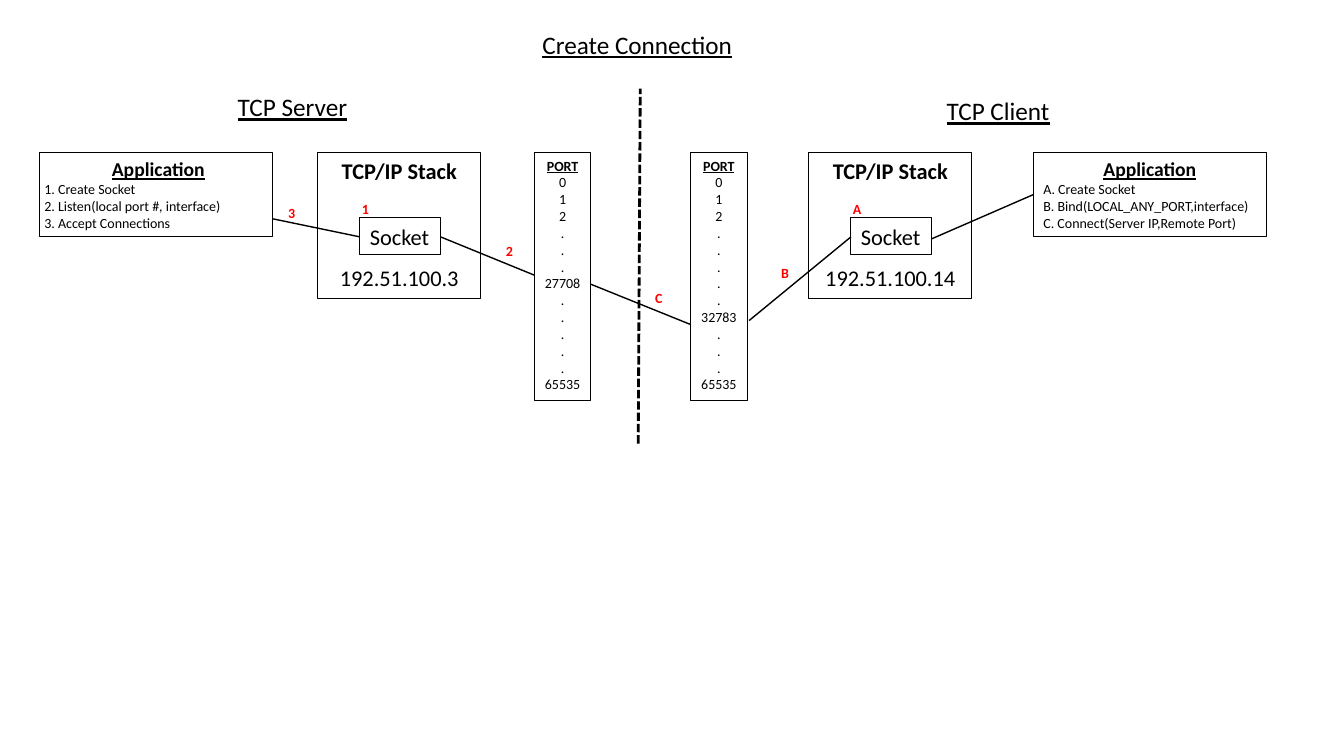
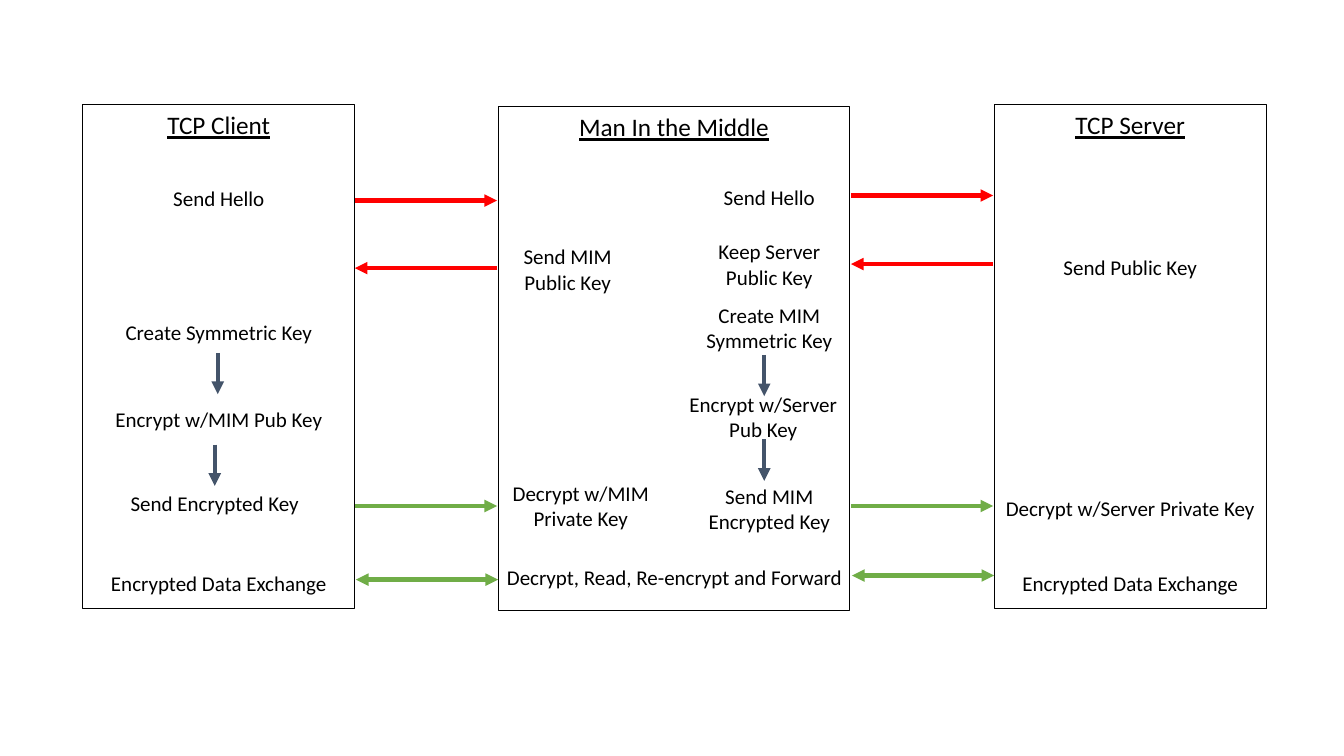
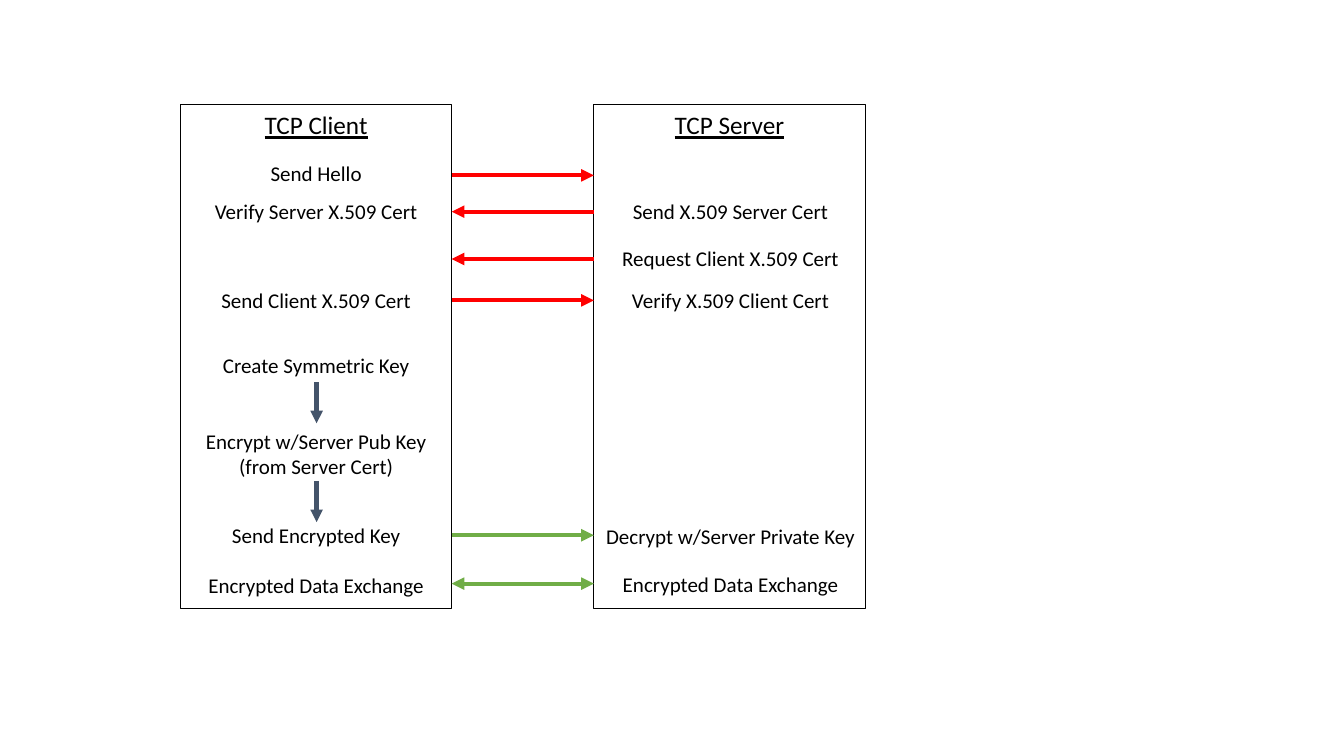
from pptx import Presentation
from pptx.dml.color import RGBColor
from pptx.enum.dml import MSO_LINE
from pptx.enum.shapes import MSO_CONNECTOR, MSO_SHAPE
from pptx.enum.text import MSO_ANCHOR, MSO_AUTO_SIZE, PP_ALIGN
from pptx.oxml.ns import qn
from pptx.util import Inches, Pt
from lxml import etree

BLACK = RGBColor(0x00, 0x00, 0x00)
RED = RGBColor(0xFF, 0x00, 0x00)
GREEN = RGBColor(0x70, 0xAD, 0x47)
SLATE = RGBColor(0x44, 0x54, 0x6A)
FONT = "Calibri"
LEFT, CENTER = PP_ALIGN.LEFT, PP_ALIGN.CENTER
TOP = MSO_ANCHOR.TOP
RECTANGLE = MSO_SHAPE.RECTANGLE
STRAIGHT = MSO_CONNECTOR.STRAIGHT
SHORT_DASH = MSO_LINE.SQUARE_DOT
NO_FIT = MSO_AUTO_SIZE.NONE
TITLE_ONLY, BLANK = 5, 6

CELL = 0.1
LANE_TOP, LANE_HEIGHT = 10.4, 50
HOST_TOP, SOCKET_TOP = 15.1, 21.6
HEADING_SIZE, STEP_SIZE, NOTE_SIZE = 18, 15, 10


def cells(count):
    """Turn a number of grid cells into a length."""
    return Inches(count * CELL)


def style(para, size, color=BLACK, bold=False, underline=False, align=LEFT):
    """Format a paragraph and its runs."""
    para.alignment = align
    for span in para.runs:
        font = span.font
        font.name, font.size = FONT, Pt(size)
        font.bold, font.underline = bold, underline
        font.color.rgb = color


def fill_frame(frame, text, size, wrap=True, **look):
    """Write lines of text in one style into a frame."""
    frame.text = text
    frame.word_wrap = wrap
    frame.vertical_anchor = TOP
    for para in frame.paragraphs:
        style(para, size, **look)


def add_box(page, left, top, width, height, text, size, wrap=True, **look):
    """Draw an outlined rectangle with text."""
    box = page.shapes.add_shape(RECTANGLE, *map(cells, (left, top, width, height)))
    box.shadow.inherit = False
    box.fill.background()
    box.line.color.rgb = BLACK
    box.line.width = Pt(0.75)
    fill_frame(box.text_frame, text, size, wrap, **look)
    return box


def add_label(page, left, top, width, height, text, size, **look):
    """Place free-standing text."""
    label = page.shapes.add_textbox(*map(cells, (left, top, width, height)))
    fill_frame(label.text_frame, text, size, **look)


def add_line(page, start, end, color=BLACK, width=1, ends=(), dash=None):
    """Draw a line, with arrowheads at the named ends."""
    line = page.shapes.add_connector(STRAIGHT, *map(cells, (*start, *end)))
    line.line.color.rgb = color
    line.line.width = Pt(width)
    if dash is not None:
        line.line.dash_style = dash
    properties = line.element.spPr
    outline = properties.find(qn("a:ln"))
    for name in ends:
        etree.SubElement(outline, qn(f"a:{name}"), type="triangle")
    etree.SubElement(properties, qn("a:effectLst"))


def add_arrow(page, start, end, color, both=False):
    """Draw a thick arrow from start to end, or one that points both ways."""
    ends = ("headEnd", "tailEnd") if both else ("tailEnd",)
    add_line(page, start, end, color, 3, ends)


def add_title(page, text, left, top, width, height):
    """Move and format the title placeholder."""
    title = page.shapes.title
    title.left, title.top, title.width, title.height = map(cells, (left, top, width, height))
    fill_frame(title.text_frame, text, HEADING_SIZE, wrap=False, underline=True)
    title.text_frame.auto_size = NO_FIT


def add_application(page, left, calls, numbered=False):
    """Draw an application box with its list of calls."""
    text = "\n".join(["Application", *calls])
    box = add_box(page, left, HOST_TOP, 23.1, 8.4, text, NOTE_SIZE)
    heading, *items = box.text_frame.paragraphs
    style(heading, 14, bold=True, underline=True, align=CENTER)
    if numbered:
        box.text_frame.margin_left, box.text_frame.margin_right = Inches(0.05), 0
        for para in items:
            properties = para._p.get_or_add_pPr()
            properties.set("marL", str(Inches(0.01)))
            properties.set("indent", str(Inches(-0.01)))
            etree.SubElement(properties, qn("a:buFont"), typeface="+mj-lt")
            etree.SubElement(properties, qn("a:buAutoNum"), type="arabicPeriod")


def add_stack(page, left, address):
    """Draw a TCP/IP stack that holds a socket and an address."""
    box = add_box(page, left, HOST_TOP, 16.2, 14.5, f"TCP/IP Stack\n{address}", 16, align=CENTER)
    heading, footing = box.text_frame.paragraphs
    style(heading, 16, bold=True, align=CENTER)
    footing.space_before = Pt(57)
    add_box(page, left + 4.2, SOCKET_TOP, 8, 3.7, "Socket", 16, wrap=False)


def add_ports(page, left, port, dots_before, dots_after):
    """Draw the column of ports with one port singled out."""
    rows = ["PORT", "0", "1", "2", *"." * dots_before, port, *"." * dots_after, "65535"]
    box = add_box(page, left, HOST_TOP, 5.6, 24.6, "\n".join(rows), NOTE_SIZE, wrap=False, align=CENTER)
    style(box.text_frame.paragraphs[0], NOTE_SIZE, bold=True, underline=True, align=CENTER)


def add_lane(page, left, width, heading, top=LANE_TOP):
    """Draw the tall box of one party."""
    add_box(page, left, top, width, LANE_HEIGHT, heading, HEADING_SIZE,
            wrap=False, underline=True, align=CENTER)


def add_steps(page, left, width, steps):
    """Write the steps of one column, each as top, rows and text."""
    for top, rows, text in steps:
        add_label(page, left, top, width, 0.9 + 2.6 * rows, text, STEP_SIZE, align=CENTER)


def add_down_arrows(page, center, tops):
    """Draw the short arrows that lead from one step to the next."""
    for top in tops:
        add_arrow(page, (center, top), (center, top + 4.1), SLATE)


def build_connection(deck):
    """Show how a client and a server connect."""
    page = deck.slides.add_slide(deck.slide_layouts[TITLE_ONLY])
    add_title(page, "Create Connection", 52.8, 2.4, 21.1, 4)
    for left, top, width, text in ((22.6, 8.6, 13.4, "TCP Server"), (92.9, 9, 12.9, "TCP Client")):
        add_label(page, left, top, width, 4, text, HEADING_SIZE, underline=True)

    add_application(page, 3.9, [" Create Socket", " Listen(local port #, interface)",
                                " Accept Connections"], numbered=True)
    add_stack(page, 31.5, "192.51.100.3")
    add_ports(page, 53, "27708", 3, 5)
    add_ports(page, 68.5, "32783", 5, 3)
    add_stack(page, 80.2, "192.51.100.14")
    add_application(page, 102.5, ["A. Create Socket", "B. Bind(LOCAL_ANY_PORT,interface)",
                                  "C. Connect(Server IP,Remote Port)"])

    links = (((68.5, 32.2), (58.6, 28.2)), ((53, 27.3), (43.7, 23.5)),
             ((35.7, 23.5), (27, 21.7)), ((84.4, 23.5), (74.3, 31.8)),
             ((102.5, 19.3), (92.4, 23.7)))
    for start, end in links:
        add_line(page, start, end)
    add_line(page, (63.3, 44), (63.5, 8.8), width=2, dash=SHORT_DASH)

    marks = (("A", 83.6, 19.4), ("B", 76.5, 25.8), ("C", 64, 28.2),
             ("1", 34.9, 19.4), ("2", 49.2, 23.6), ("3", 27.6, 19.8))
    for text, left, top in marks:
        add_label(page, left, top, 3.2, 2.7, text, NOTE_SIZE, color=RED, bold=True)


def build_interception(deck):
    """Show a key exchange with a man in the middle."""
    page = deck.slides.add_slide(deck.slide_layouts[BLANK])
    add_lane(page, 8.2, 27, "TCP Client")
    add_lane(page, 49.4, 34.9, "Man In the Middle", LANE_TOP + 0.2)
    add_lane(page, 98.6, 27, "TCP Server")

    add_steps(page, 8.2, 27, [
        (17.9, 1, "Send Hello"), (31.2, 1, "Create Symmetric Key"),
        (39.8, 1, "Encrypt w/MIM Pub Key"), (56.1, 1, "Encrypted Data Exchange")])
    add_steps(page, 9, 24.6, [(48.2, 1, "Send Encrypted Key")])
    add_steps(page, 49.3, 14, [(23.7, 2, "Send MIM Public Key")])
    add_steps(page, 49.5, 16.2, [(47.2, 2, "Decrypt w/MIM Private Key")])
    add_steps(page, 68.3, 16, [
        (17.8, 1, "Send Hello"), (23.2, 2, "Keep Server Public Key"),
        (29.5, 2, "Create MIM Symmetric Key"), (47.5, 2, "Send MIM Encrypted Key")])
    add_steps(page, 66.9, 17.6, [(38.3, 2, "Encrypt w/Server Pub Key")])
    add_steps(page, 48.8, 36.2, [(55.5, 1, "Decrypt, Read, Re-encrypt and Forward")])
    add_steps(page, 98.6, 27, [
        (24.8, 1, "Send Public Key"), (48.7, 2, "Decrypt w/Server Private Key"),
        (56.1, 1, "Encrypted Data Exchange")])

    for left, hello, key, data in ((35.2, 19.9, 26.6, 57.5), (84.4, 19.4, 26.2, 57.1)):
        right = left + 14.1
        add_arrow(page, (left, hello), (right, hello), RED)
        add_arrow(page, (right, key), (left, key), RED)
        add_arrow(page, (left, 50.2), (right, 50.2), GREEN)
        add_arrow(page, (left + 0.1, data), (right + 0.1, data), GREEN, both=True)
    add_down_arrows(page, 21.6, [35])
    add_down_arrows(page, 21.3, [44.1])
    add_down_arrows(page, 75.8, [35.2, 43.6])


def build_certificates(deck):
    """Show a key exchange with certificates on both sides."""
    page = deck.slides.add_slide(deck.slide_layouts[BLANK])
    add_lane(page, 17.9, 26.9, "TCP Client")
    add_lane(page, 58.9, 26.9, "TCP Server")

    add_steps(page, 17.9, 26.9, [
        (15.4, 1, "Send Hello"), (19.2, 1, "Verify Server X.509 Cert"),
        (28, 1, "Send Client X.509 Cert"), (34.5, 1, "Create Symmetric Key"),
        (42, 2, "Encrypt w/Server Pub Key\n(from Server Cert)"),
        (51.3, 1, "Send Encrypted Key"), (56.3, 1, "Encrypted Data Exchange")])
    add_steps(page, 59, 26.9, [
        (19.2, 1, "Send X.509 Server Cert"), (23.9, 1, "Request Client X.509 Cert"),
        (28, 1, "Verify X.509 Client Cert"), (51.4, 2, "Decrypt w/Server Private Key"),
        (56.2, 1, "Encrypted Data Exchange")])

    left, right = 44.8, 58.9
    for row, color in ((17.4, RED), (29.8, RED), (53.1, GREEN)):
        add_arrow(page, (left, row), (right, row), color)
    for row in (21, 25.7):
        add_arrow(page, (right, row), (left, row), RED)
    add_arrow(page, (left, 57.9), (right, 57.9), GREEN, both=True)
    add_down_arrows(page, 31.4, [37.9, 47.7])


def main():
    """Build the deck and save it."""
    deck = Presentation()
    deck.slide_width, deck.slide_height = Inches(13.33), Inches(7.5)
    build_connection(deck)
    build_interception(deck)
    build_certificates(deck)
    deck.save("out.pptx")


main()
